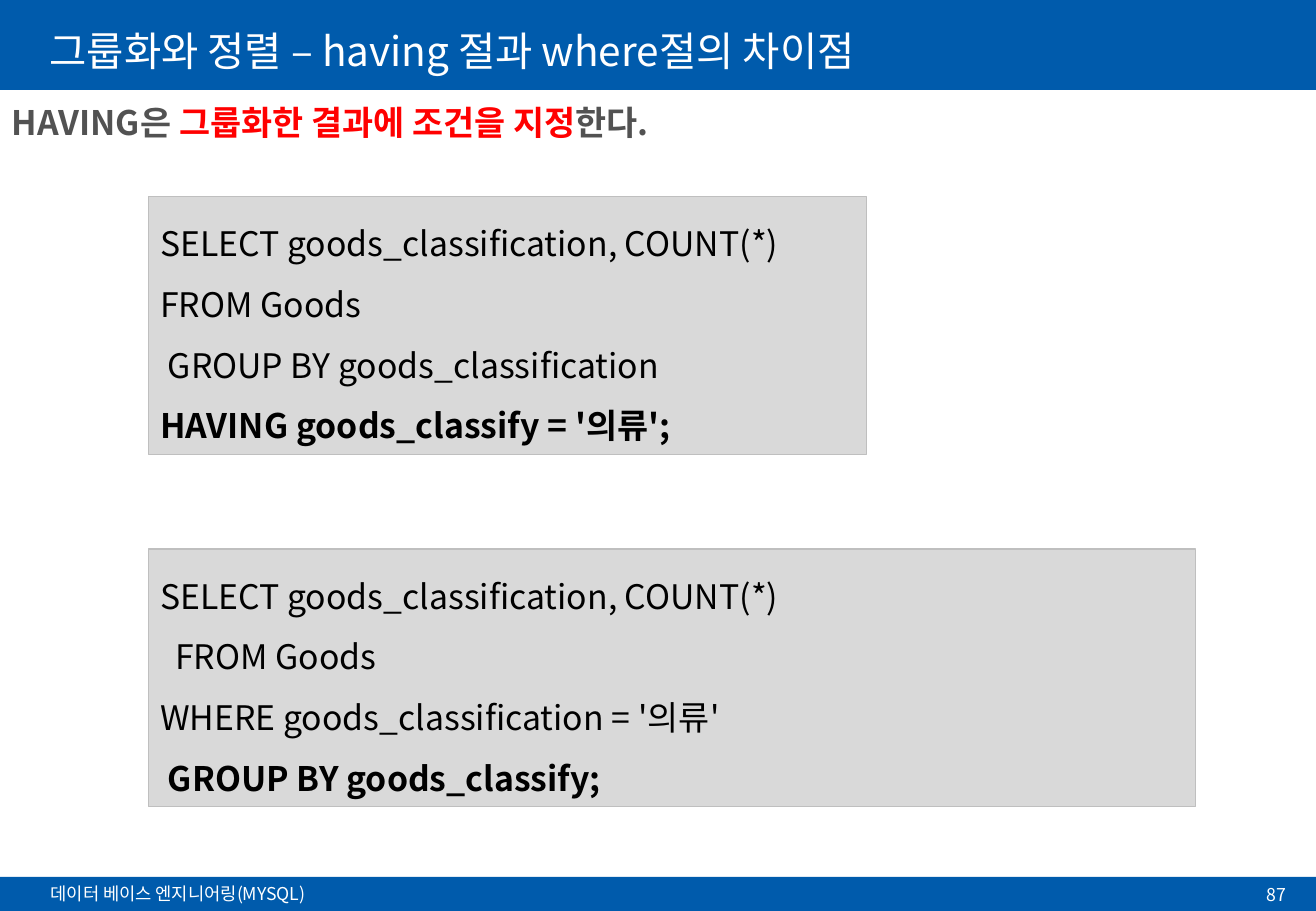
"""Build the slide on how HAVING differs from WHERE."""
from lxml.etree import SubElement
from pptx import Presentation
from pptx.dml.color import RGBColor as RGB
from pptx.enum.shapes import MSO_SHAPE as SHAPE
from pptx.enum.text import MSO_ANCHOR as ANCHOR, PP_ALIGN as ALIGN
from pptx.oxml.ns import qn
from pptx.util import Pt

PX = 9144
FACE = "Noto Sans CJK KR"
BLUE, WHITE, BLACK, GRAY, RED = "005BAC", "FFFFFF", "000000", "525252", "FF0000"

deck = Presentation()
deck.slide_width, deck.slide_height = 1083 * PX, 750 * PX
slide = deck.slides.add_slide(deck.slide_layouts[6])


def panel(at, fill, edge=None):
    """Add a flat rectangle."""
    box = slide.shapes.add_shape(SHAPE.RECTANGLE, *[n * PX for n in at])
    box.shadow.inherit = False
    box.fill.solid()
    box.fill.fore_color.rgb = RGB.from_string(fill)
    if edge:
        box.line.color.rgb = RGB.from_string(edge)
        box.line.width = Pt(0.75)
    else:
        box.line.fill.background()
    return box


def write(box, lines, size, form, anchor=ANCHOR.TOP):
    """Fill a box with lines of (text, colour, bold) runs."""
    frame = box.text_frame
    frame.word_wrap = True
    frame.vertical_anchor = anchor
    for i, line in enumerate(lines):
        para = frame.add_paragraph() if i else frame.paragraphs[0]
        for key, val in form.items():
            setattr(para, key, val)
        for text, color, bold in line:
            run = para.add_run()
            run.text = text
            for key, val in {"name": FACE, "size": Pt(size), "bold": bold}.items():
                setattr(run.font, key, val)
            run.font.color.rgb = RGB.from_string(color)
            SubElement(run.font._element, qn("a:ea")).set("typeface", FACE)


for top, high in [(0, 74), (722, 28)]:
    panel((0, top, 1083, high), BLUE)

labels = [
    ((32, 722, 400, 28), [("데이터 베이스 엔지니어링(MYSQL)", WHITE, False)],
     10.5, {}, ANCHOR.TOP),
    ((31, 25, 1023, 38), [("그룹화와 정렬 – having 절과 where절의 차이점", WHITE, False)],
     24, {"line_spacing": 0.9}, ANCHOR.MIDDLE),
    ((917, 724, 151, 25), [("87", WHITE, False)],
     10.5, {"alignment": ALIGN.RIGHT}, ANCHOR.MIDDLE),
    ((0, 79, 1083, 645), [("HAVING은 ", GRAY, True),
                          ("그룹화한 결과에 조건을 지정", RED, True),
                          ("한다.", GRAY, True)],
     20, {}, ANCHOR.TOP),
]
for at, runs, size, form, anchor in labels:
    box = slide.shapes.add_textbox(*[n * PX for n in at])
    write(box, [runs], size, form, anchor)

queries = [
    (162, 591, ["SELECT goods_classification, COUNT(*)",
                "FROM Goods",
                " GROUP BY goods_classification",
                "HAVING goods_classify = '의류';"]),
    (452, 862, ["SELECT goods_classification, COUNT(*)",
                "  FROM Goods",
                "WHERE goods_classification = '의류'",
                " GROUP BY goods_classify;"]),
]
for top, wide, code in queries:
    box = panel((122, top, wide, 212), "D9D9D9", "BFBFBF")
    lines = [[(text, BLACK, text == code[-1])] for text in code]
    write(box, lines, 20, {"line_spacing": 1.5, "alignment": ALIGN.LEFT})

deck.save("out.pptx")
